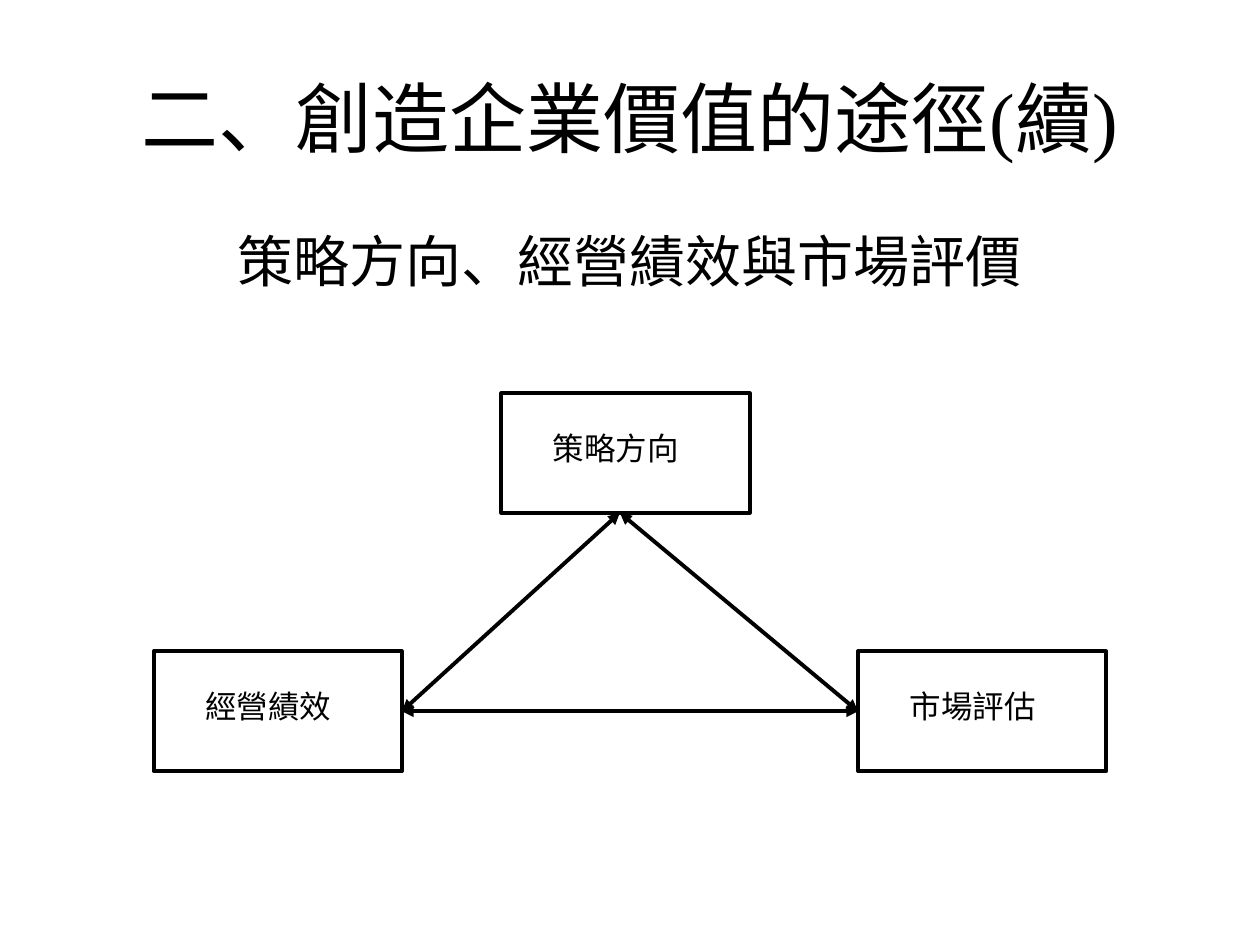
from dataclasses import dataclass

from lxml.etree import SubElement
from pptx import Presentation
from pptx.dml.color import RGBColor
from pptx.enum.shapes import MSO_CONNECTOR, MSO_SHAPE
from pptx.enum.text import MSO_ANCHOR, PP_ALIGN
from pptx.oxml.ns import qn
from pptx.util import Inches, Pt

FONT = "Times New Roman"
INK = "000000"
WIDTH, HEIGHT = 1.97, 0.95
STROKE = 2.25


@dataclass(frozen=True)
class Node:
    text: str
    left: float
    top: float


@dataclass(frozen=True)
class Link:
    start: tuple[float, float]
    end: tuple[float, float]


def paint(style, color: str) -> None:
    style.rgb = RGBColor.from_string(color)


def add_text(shapes, text: str, box: tuple, size: float,
             align=PP_ALIGN.LEFT, anchor=MSO_ANCHOR.TOP) -> None:
    frame = shapes.add_textbox(*map(Inches, box)).text_frame
    frame.word_wrap = True
    frame.vertical_anchor = anchor
    frame.text = text
    para = frame.paragraphs[0]
    para.alignment = align
    font = para.runs[0].font
    font.name, font.size = FONT, Pt(size)
    paint(font.color, INK)


def add_node(slide, node: Node) -> None:
    group = slide.shapes.add_group_shape()
    rect = group.shapes.add_shape(
        MSO_SHAPE.RECTANGLE, Inches(node.left), Inches(node.top),
        Inches(WIDTH), Inches(HEIGHT))
    rect.shadow.inherit = False
    rect.fill.background()
    paint(rect.line.color, INK)
    rect.line.width = Pt(STROKE)
    label = (node.left + 0.31, node.top + 0.235, 1.65, 0.4)
    add_text(group.shapes, node.text, label, 18)


def add_link(slide, link: Link) -> None:
    line = slide.shapes.add_connector(
        MSO_CONNECTOR.STRAIGHT, *map(Inches, link.start + link.end))
    paint(line.line.color, INK)
    line.line.width = Pt(STROKE)
    # Arrowheads at both ends, no shadow
    stroke = line.line._get_or_add_ln()
    for end in ("a:headEnd", "a:tailEnd"):
        SubElement(stroke, qn(end), type="triangle")
    SubElement(line._element.spPr, qn("a:effectLst"))


def main() -> None:
    deck = Presentation()
    deck.slide_width, deck.slide_height = Inches(10), Inches(7.5)
    slide = deck.slides.add_slide(deck.slide_layouts[6])

    # Title and subtitle
    add_text(slide.shapes, "二、創造企業價值的途徑(續)", (0.5, 0.3, 9, 1.25),
             44, PP_ALIGN.CENTER, MSO_ANCHOR.MIDDLE)
    add_text(slide.shapes, "策略方向、經營績效與市場評價",
             (0.5, 1.75, 9, 4.95), 32, PP_ALIGN.CENTER)

    # Triangle of boxes
    plan = Node("策略方向", 3.98, 3.12)
    work = Node("經營績效", 1.22, 5.17)
    market = Node("市場評估", 6.81, 5.17)
    for node in (plan, work, market):
        add_node(slide, node)

    # Arrows between the boxes
    peak = (4.92, plan.top + HEIGHT)
    west = (work.left + WIDTH, work.top + HEIGHT / 2)
    east = (market.left, market.top + HEIGHT / 2)
    for link in (Link(west, peak), Link(peak, east), Link(west, east)):
        add_link(slide, link)

    deck.save("out.pptx")


if __name__ == "__main__":
    main()
